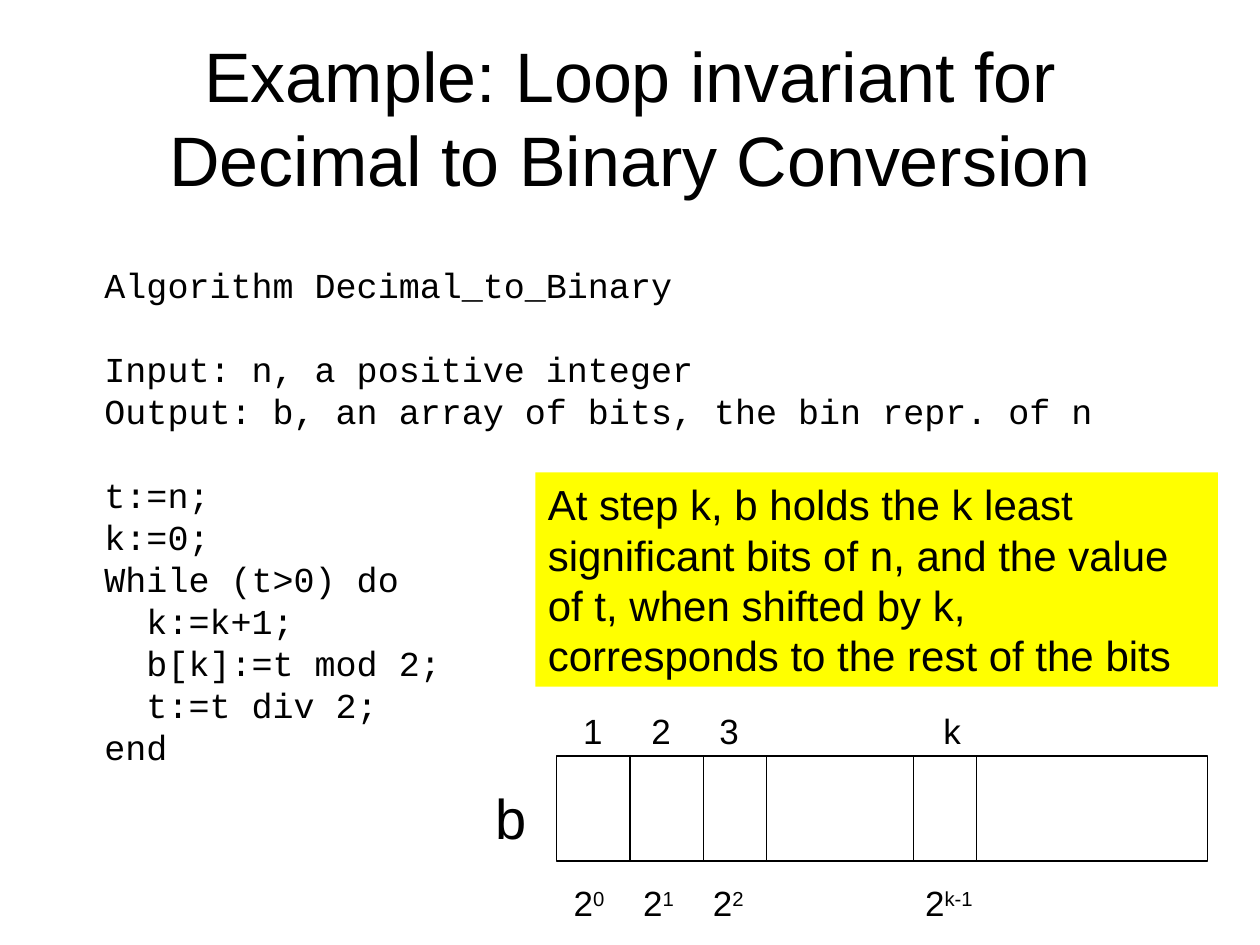
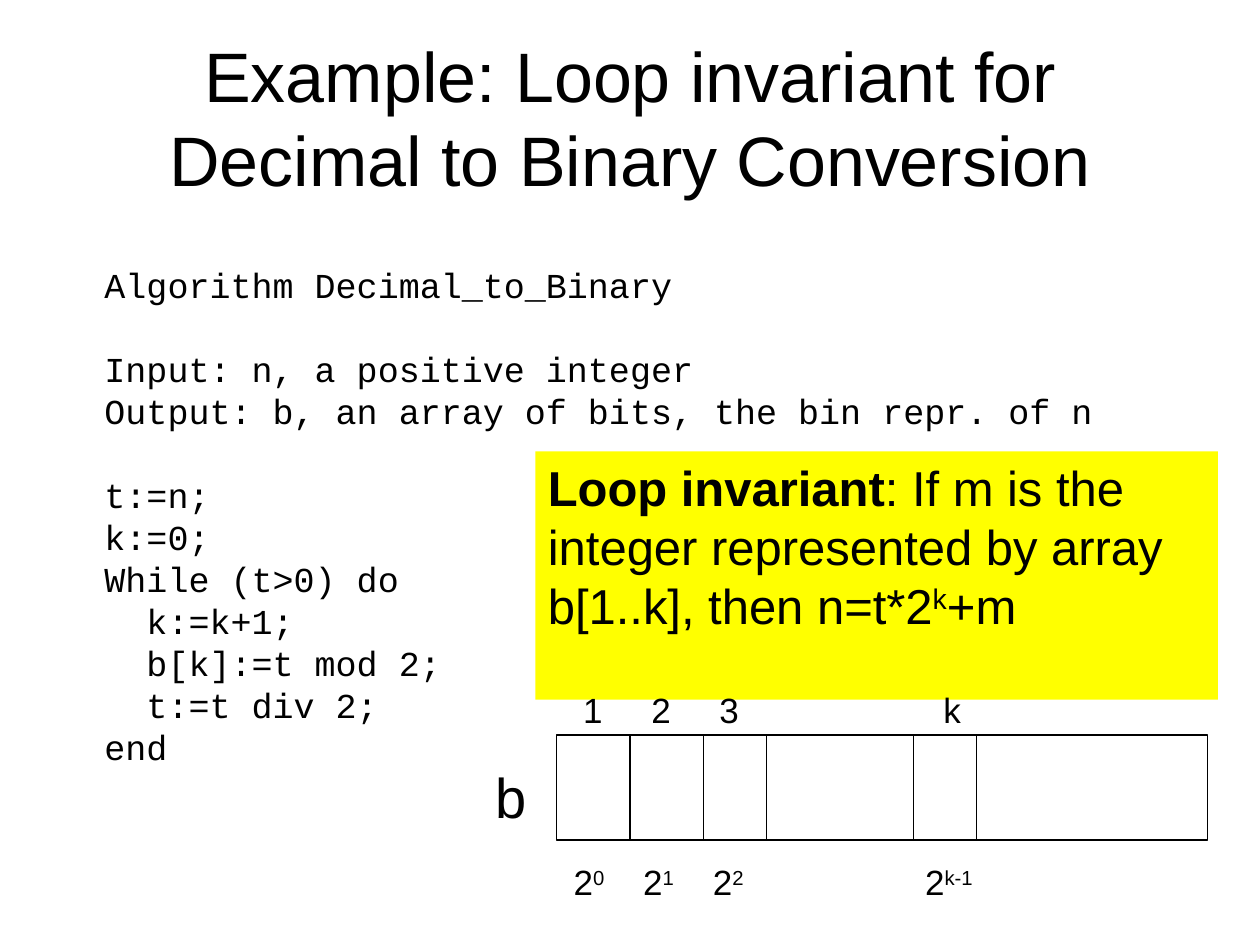
from dataclasses import dataclass

import pptx
import pptx.dml.color
import pptx.enum.shapes
import pptx.enum.text
import pptx.oxml.ns
import pptx.util
from lxml import etree

Pt = pptx.util.Pt
BLACK, WHITE, YELLOW = "000000", "FFFFFF", "FFFF00"
SANS, MONO = "Arial", "Courier New"
TITLE = "Example: Loop invariant for Decimal to Binary Conversion"
LINE_PITCH = 1.2
CODE_SIZE, LABEL_SIZE, NAME_SIZE = 20, 20, 32
CODE_SECTIONS = (
    ("Algorithm Decimal_to_Binary",),
    ("Input: n, a positive integer",
     "Output: b, an array of bits, the bin repr. of n"),
    ("t:=n;", "k:=0;", "While (t>0) do", "  k:=k+1;", "  b[k]:=t mod 2;",
     "  t:=t div 2;", "end"),
)
ARRAY_LEFT, ARRAY_WIDTH, ARRAY_HEIGHT = 318, 372, 60
CELL_EDGES = (360, 402, 438, 522, 558)
LABEL_LEFT, LABEL_WIDTH, LABEL_HEIGHT = 294, 402, 70


@dataclass(frozen=True)
class Span:
    text: str
    size: float
    bold: bool = False
    raised: bool = False


@dataclass(frozen=True)
class Box:
    left: float
    top: float
    width: float
    height: float

    def lengths(self) -> tuple:
        return tuple(Pt(v) for v in (self.left, self.top, self.width, self.height))


@dataclass(frozen=True)
class InvariantSlide:
    callout: Box
    statement: tuple[Span, ...]
    array_top: float


@dataclass(frozen=True)
class LabelRow:
    offset: float
    labels: tuple[tuple[str, str], ...]
    stops: tuple[float, ...]


LABEL_ROWS = (
    LabelRow(-42, (("1", ""), ("2", ""), ("3", ""), ("k", "")),
             (32.2, 71.1, 110, 238)),
    LabelRow(56.4, (("2", "0"), ("2", "1"), ("2", "2"), ("2", "k-1")),
             (26.7, 66.5, 106.3, 227.5)),
)
SLIDES = (
    InvariantSlide(
        Box(306, 270, 390, 122.4),
        (Span("At step k, b holds the k least significant bits of n, and the "
              "value of t, when shifted by k, corresponds to the rest of the bits",
              24),),
        432),
    InvariantSlide(
        Box(306, 258, 390, 141.8),
        (Span("Loop invariant", 28, bold=True),
         Span(": If m is the integer represented by array b[1..k], then n=t*2", 28),
         Span("k", 28, raised=True),
         Span("+m", 28)),
        420),
)


def color(value: str) -> pptx.dml.color.RGBColor:
    return pptx.dml.color.RGBColor.from_string(value)


def add_tab_stops(paragraph, stops: tuple[float, ...]) -> None:
    tab_list = etree.SubElement(paragraph._p.get_or_add_pPr(),
                                pptx.oxml.ns.qn("a:tabLst"))
    for stop in stops:
        etree.SubElement(tab_list, pptx.oxml.ns.qn("a:tab"),
                         pos=str(int(Pt(stop))), algn="l")


def add_paragraph_spans(paragraph, spans: tuple[Span, ...], font: str) -> None:
    for span in spans:
        run = paragraph.add_run()
        run.text = span.text
        run.font.name = font
        run.font.size = Pt(span.size)
        run.font.bold = span.bold
        run.font.color.rgb = color(BLACK)
        if span.raised:
            run.font._element.set("baseline", "30000")


def add_text(slide, box: Box, paragraphs, *, font: str = SANS, wrap: bool = True,
             align=pptx.enum.text.PP_ALIGN.LEFT,
             anchor=pptx.enum.text.MSO_ANCHOR.TOP,
             fill: str | None = None, stops: tuple[float, ...] = (),
             gaps: dict[int, float] | None = None) -> None:
    """Write paragraphs of spans; gaps maps a paragraph number to space before."""
    shape = slide.shapes.add_textbox(*box.lengths())
    if fill:
        shape.fill.solid()
        shape.fill.fore_color.rgb = color(fill)
    frame = shape.text_frame
    frame.word_wrap = wrap
    frame.vertical_anchor = anchor
    for number, spans in enumerate(paragraphs):
        paragraph = frame.add_paragraph() if number else frame.paragraphs[0]
        paragraph.alignment = align
        if gaps and number in gaps:
            paragraph.space_before = Pt(gaps[number])
        if stops:
            add_tab_stops(paragraph, stops)
        add_paragraph_spans(paragraph, spans, font)


def add_code(slide) -> None:
    lines, gaps = [], {}
    for section in CODE_SECTIONS:
        if lines:
            gaps[len(lines)] = CODE_SIZE * LINE_PITCH
        lines += [(Span(line, CODE_SIZE),) for line in section]
    add_text(slide, Box(52.6, 146.9, 579.6, 319.7), lines,
             font=MONO, wrap=False, gaps=gaps)


def add_cell_edge(slide, x: float, top: float) -> None:
    edge = slide.shapes.add_connector(
        pptx.enum.shapes.MSO_CONNECTOR.STRAIGHT,
        Pt(x), Pt(top), Pt(x), Pt(top + ARRAY_HEIGHT))
    edge.line.color.rgb = color(BLACK)
    edge.line.width = Pt(0.75)
    etree.SubElement(edge._element.spPr, pptx.oxml.ns.qn("a:effectLst"))


def add_label_row(slide, row: LabelRow, array_top: float) -> None:
    spans = []
    for number, (base, exponent) in enumerate(row.labels):
        spans.append(Span("\t", LABEL_SIZE if number else NAME_SIZE))
        spans.append(Span(base, LABEL_SIZE))
        if exponent:
            spans.append(Span(exponent, LABEL_SIZE, raised=True))
    add_text(slide, Box(LABEL_LEFT, array_top + row.offset, LABEL_WIDTH, LABEL_HEIGHT),
             [spans], stops=row.stops)


def add_bit_array(slide, top: float) -> None:
    outline = slide.shapes.add_shape(
        pptx.enum.shapes.MSO_SHAPE.RECTANGLE,
        *Box(ARRAY_LEFT, top, ARRAY_WIDTH, ARRAY_HEIGHT).lengths())
    outline.shadow.inherit = False
    outline.fill.background()
    outline.line.color.rgb = color(BLACK)
    outline.line.width = Pt(0.75)
    add_text(slide, Box(276, top + 12, 32.4, 46), [(Span("b", NAME_SIZE),)], wrap=False)
    for x in CELL_EDGES:
        add_cell_edge(slide, x, top)
    for row in LABEL_ROWS:
        add_label_row(slide, row, top)


def add_invariant_slide(deck, content: InvariantSlide) -> None:
    slide = deck.slides.add_slide(deck.slide_layouts[6])
    slide.background.fill.solid()
    slide.background.fill.fore_color.rgb = color(WHITE)
    add_text(slide, Box(36, 21.6, 648, 90), [(Span(TITLE, 40),)],
             align=pptx.enum.text.PP_ALIGN.CENTER,
             anchor=pptx.enum.text.MSO_ANCHOR.MIDDLE)
    add_code(slide)
    add_text(slide, content.callout, [content.statement], fill=YELLOW)
    add_bit_array(slide, content.array_top)


def main() -> None:
    deck = pptx.Presentation()
    deck.slide_width, deck.slide_height = Pt(720), Pt(540)
    for content in SLIDES:
        add_invariant_slide(deck, content)
    deck.save("out.pptx")


if __name__ == "__main__":
    main()
